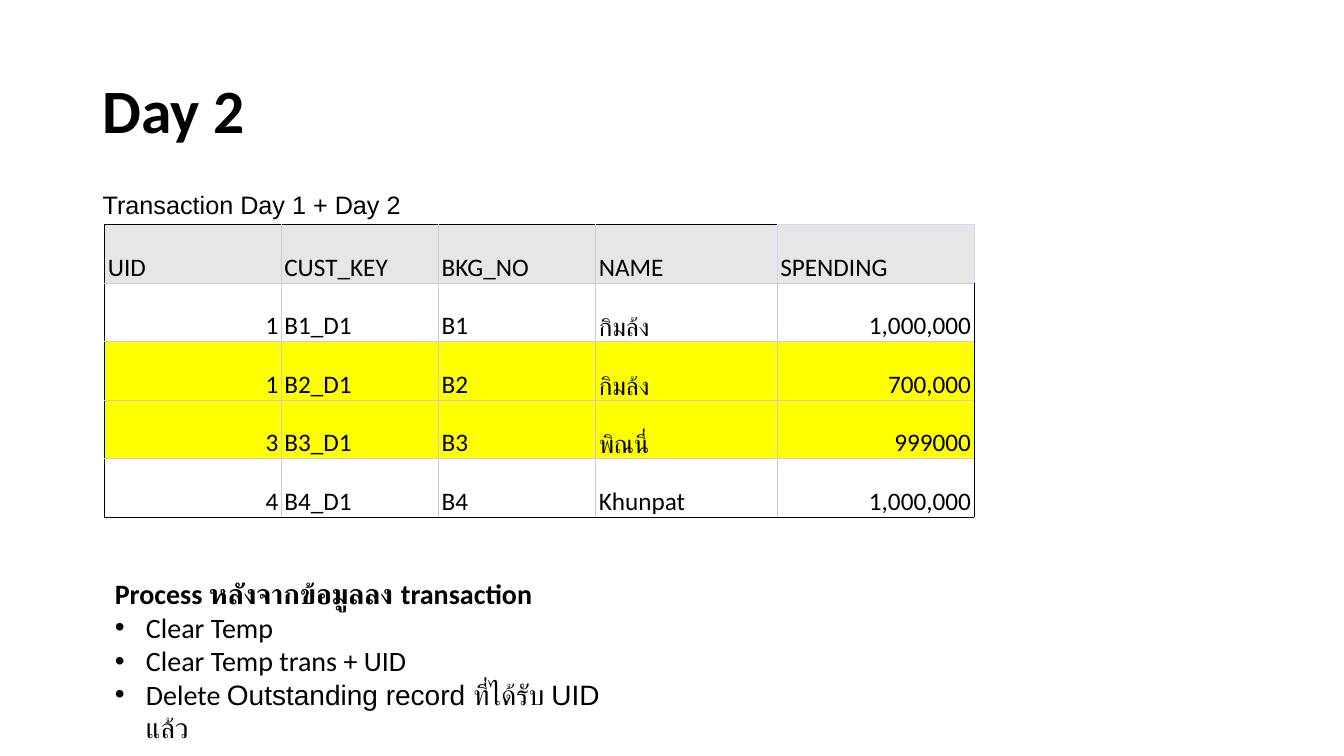
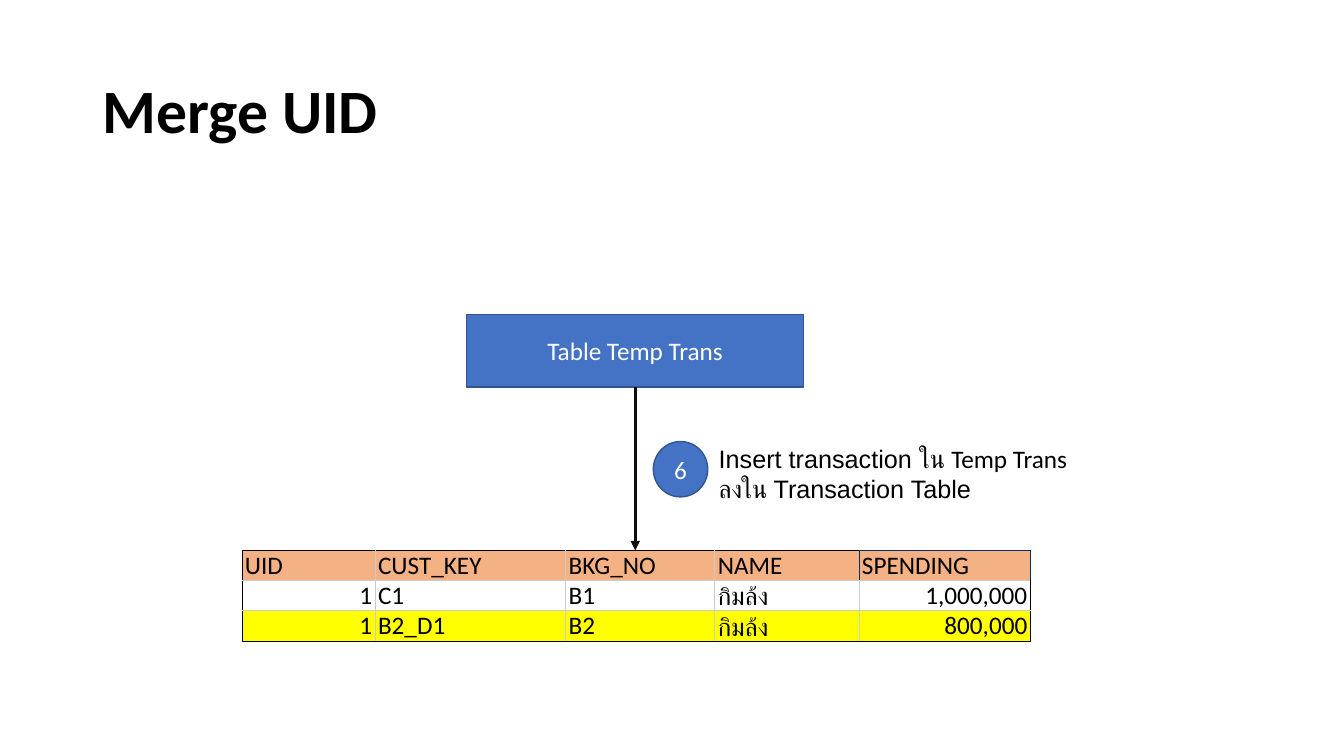
from pptx import Presentation, util as u
from pptx.dml.color import RGBColor
from pptx.enum import shapes, text
from pptx.oxml.ns import qn
from lxml import etree

INK, WHITE, GRID = "000000", "FFFFFF", "CCCCCC"
BLUE, EDGE, MARK = "4472C4", "325491", "FFFF00"
SANS, BODY = "Arial", "Calibri"
LEFT, RIGHT, MID = text.PP_ALIGN.LEFT, text.PP_ALIGN.RIGHT, text.PP_ALIGN.CENTER


def paint(tone, code):
    """Set a colour format from a hex string."""
    tone.rgb = RGBColor.from_string(code)


def sub(node, tag, **attrs):
    """Append an XML child with attributes."""
    return etree.SubElement(node, qn(tag), attrs)


def write(para, runs, size=18, code=INK, bold=False, align=LEFT):
    """Add (words, font) runs to a paragraph; None breaks the line."""
    para.alignment = align
    for part in runs:
        if part is None:
            para.add_line_break()
            continue
        run = para.add_run()
        run.text, run.font.name = part
        run.font.size, run.font.bold = u.Pt(size), bold
        paint(run.font.color, code)


def note(slide, box):
    """Add a wrapping text box and return its frame."""
    frame = slide.shapes.add_textbox(*map(u.Inches, box)).text_frame
    frame.word_wrap = True
    return frame


def title(slide, words):
    """Place the slide title."""
    frame = note(slide, (0.92, 0.4, 11.5, 1.45))
    frame.vertical_anchor = text.MSO_ANCHOR.MIDDLE
    para = frame.paragraphs[0]
    para.line_spacing = 0.9
    write(para, [(words, BODY)], 44, bold=True)


def rule(cell, sides):
    """Draw the cell borders, given as colours for left, right, top, bottom."""
    for side, code in zip("LRTB", sides):
        line = sub(cell._tc.get_or_add_tcPr(), f"a:ln{side}", w="9525")
        sub(sub(line, "a:solidFill"), "a:srgbClr", val=code)


def grid(slide, spot, widths, height, rows, head, tint, marks):
    """Place a table; tint edges the last heading and marks lists yellow rows."""
    last, end = len(widths) - 1, len(rows) - 1
    size = (sum(widths), height * len(rows))
    table = slide.shapes.add_table(
        len(rows), len(widths), *map(u.Inches, spot + size)).table
    table.first_row = table.horz_banding = False
    for col, width in zip(table.columns, widths):
        col.width = u.Inches(width)
    for r, row in enumerate(rows):
        table.rows[r].height = u.Inches(height)
        for c, words in enumerate(row):
            cell = table.cell(r, c)
            cell.margin_left = cell.margin_right = u.Inches(0.03)
            cell.margin_top = cell.margin_bottom = 0
            cell.vertical_anchor = text.MSO_ANCHOR.BOTTOM
            base = INK if r == end else GRID
            if r == 0 and c == last:
                sides = (tint, tint, tint, base)
            else:
                right = INK if c == last else tint if r == 0 and c == last - 1 else GRID
                sides = (GRID if c else INK, right, GRID if r else INK, base)
            rule(cell, sides)
            fill = head if r == 0 else MARK if r in marks else None
            if fill:
                cell.fill.solid()
                paint(cell.fill.fore_color, fill)
            else:
                cell.fill.background()
            align = RIGHT if r and c in (0, last) else LEFT
            write(cell.text_frame.paragraphs[0], [(words, BODY)], align=align)


def block(slide, kind, box, words):
    """Place a blue shape with a centred label."""
    shape = slide.shapes.add_shape(kind, *map(u.Inches, box))
    shape.shadow.inherit = False
    shape.fill.solid()
    paint(shape.fill.fore_color, BLUE)
    paint(shape.line.color, EDGE)
    shape.line.width = u.Pt(1)
    shape.text_frame.vertical_anchor = text.MSO_ANCHOR.MIDDLE
    write(shape.text_frame.paragraphs[0], [(words, BODY)], code=WHITE, align=MID)
    return shape


def arrow(slide, shape, foot):
    """Run an arrow from the bottom of a shape straight down to foot."""
    x = shape.left + shape.width // 2
    line = slide.shapes.add_connector(
        shapes.MSO_CONNECTOR.STRAIGHT, x, shape.top + shape.height, x, u.Inches(foot))
    line.begin_connect(shape, 2)
    paint(line.line.color, "0D0D0D")
    line.line.width = u.Pt(2.25)
    sub(line.line._get_or_add_ln(), "a:tailEnd", type="triangle")
    sub(line._element.spPr, "a:effectLst")


def steps(slide, box, head, items):
    """Place a bold heading over a bulleted list."""
    frame = note(slide, box)
    write(frame.paragraphs[0], [(head, BODY)], 20, bold=True)
    for runs in items:
        para = frame.add_paragraph()
        write(para, runs, 20)
        props = para._p.get_or_add_pPr()
        dent = u.Inches(0.31)
        props.set("marL", str(dent))
        props.set("indent", str(-dent))
        sub(props, "a:buFont", typeface=SANS)
        sub(props, "a:buChar", char="•")


def day(slide):
    """Build the slide on the second day."""
    title(slide, "Day 2")
    rows = [
        ("UID", "CUST_KEY", "BKG_NO", "NAME", "SPENDING"),
        ("1", "B1_D1", "B1", "กิมล้ง", "1,000,000"),
        ("1", "B2_D1", "B2", "กิมล้ง", "700,000"),
        ("3", "B3_D1", "B3", "พิณนี่", "999000"),
        ("4", "B4_D1", "B4", "Khunpat", "1,000,000"),
    ]
    grid(slide, (1.04, 2.23), (1.75, 1.56, 1.56, 1.8, 1.95), 0.58, rows,
         "E7E6E6", "E0D2F2", (2, 3))
    frame = note(slide, (0.92, 1.83, 6.67, 0.4))
    write(frame.paragraphs[0], [("Transaction Day 1 + Day 2", SANS)])
    steps(slide, (1.04, 5.67, 5.24, 1.45), "Process หลังจากข้อมูลลง transaction", [
        [("Clear Temp", BODY)],
        [("Clear Temp trans + UID", BODY)],
        [("Delete ", BODY), ("Outstanding record ที่ได้รับ UID แล้ว", SANS)],
    ])


def merge(slide):
    """Build the slide on merging into the main table."""
    title(slide, "Merge UID")
    top = 5.46
    temp = block(slide, shapes.MSO_SHAPE.RECTANGLE, (4.63, 3.12, 3.34, 0.72),
                 "Table Temp Trans")
    rows = [
        ("UID", "CUST_KEY", "BKG_NO", "NAME", "SPENDING"),
        ("1", "C1", "B1", "กิมล้ง", "1,000,000"),
        ("1", "B2_D1", "B2", "กิมล้ง", "800,000"),
    ]
    grid(slide, (2.4, top), (1.32, 1.89, 1.48, 1.43, 1.7), 0.3, rows,
         "F4B183", "003066", (2,))
    arrow(slide, temp, top)
    block(slide, shapes.MSO_SHAPE.OVAL, (6.48, 4.38, 0.54, 0.55), "6")
    frame = note(slide, (7.03, 4.35, 4.45, 0.71))
    write(frame.paragraphs[0], [
        ("Insert transaction ใน ", SANS), ("Temp Trans ", BODY), None,
        ("ลงใน Transaction Table", SANS)])


def main():
    """Build and save the deck."""
    deck = Presentation()
    deck.slide_width, deck.slide_height = u.Inches(13.33), u.Inches(7.5)
    for build in (day, merge):
        build(deck.slides.add_slide(deck.slide_layouts[6]))
    deck.save("out.pptx")


if __name__ == "__main__":
    main()
